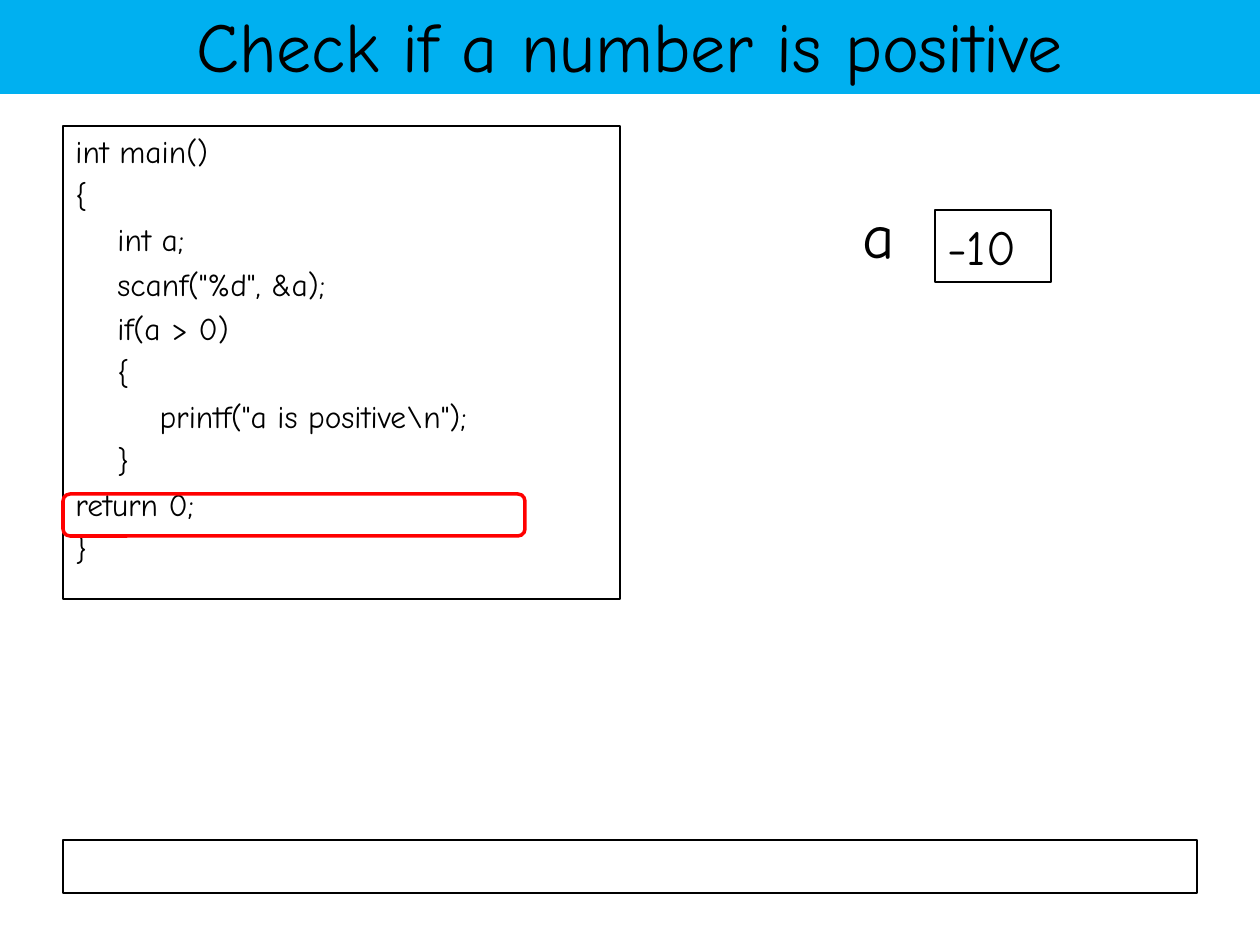
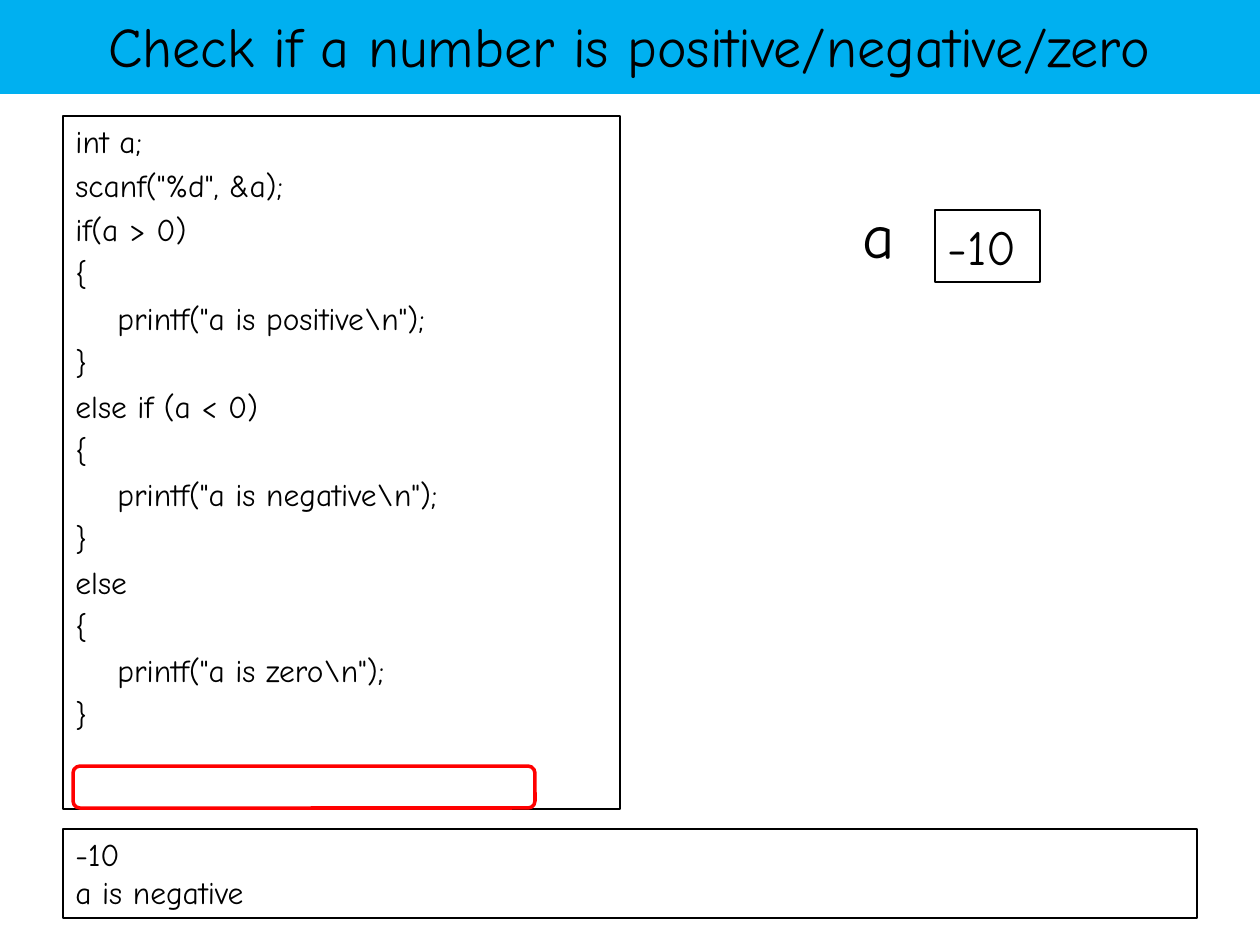
import pptx
import pptx.util
import pptx.dml.color
import pptx.enum.shapes
import pptx.enum.text

SHAPE = pptx.enum.shapes.MSO_SHAPE
ALIGN = pptx.enum.text.PP_ALIGN
ANCHOR = pptx.enum.text.MSO_ANCHOR

# Content: boxes are (left, top, width, height) in px
SLIDES = [
    {
        "title": "Check if a number is positive",
        "title_size": 40,
        "code": [
            "int main()",
            "{",
            "    int a;",
            '    scanf("%d", &a);',
            "    if(a > 0)",
            "    {",
            '        printf("a is positive\\n");',
            "    }",
            "return 0;",
            "}",
        ],
        "code_box": (63, 126, 557, 473),
        "output": [],
        "output_box": (63, 840, 1134, 53),
        "value_box": (935, 210, 116, 72),
        "marker_box": (63, 494, 462, 42),
    },
    {
        "title": "Check if a number is positive/negative/zero",
        "title_size": 32,
        "code": [
            "int a;",
            'scanf("%d", &a);',
            "if(a > 0)",
            "{",
            '    printf("a is positive\\n");',
            "}",
            "else if (a < 0)",
            "{",
            '    printf("a is negative\\n");',
            "}",
            "else",
            "{",
            '    printf("a is zero\\n");',
            "}",
        ],
        "code_box": (63, 116, 557, 693),
        "output": ["-10", "a is negative"],
        "output_box": (63, 829, 1134, 89),
        "value_box": (935, 210, 105, 72),
        "marker_box": (73, 766, 462, 42),
    },
]
VARIABLE, VALUE = "a", "-10"

# Shared look and places
THEME = {
    "font": "Comic Neue",
    "text": "000000",
    "band": "00B0F0",
    "frame": "000000",
    "marker": "FF0000",
    "code_size": 18,
    "value_size": 28,
    "variable_size": 36,
    "frame_width": 0.75,
    "marker_width": 2,
    "code_gap": 3.6,
}
SLIDE_SIZE = (1260, 945)
TITLE_BOX = (-1, -4, 1261, 98)
VARIABLE_BOX = (850, 189, 63, 89)


def px(length):
    return pptx.util.Emu(round(length * 914400 / 126))


def color(name):
    return pptx.dml.color.RGBColor.from_string(THEME[name])


def write(shape, lines, size, align=ALIGN.LEFT, anchor=ANCHOR.TOP, gap=0):
    frame = shape.text_frame
    frame.word_wrap = True
    frame.vertical_anchor = anchor
    for index, line in enumerate(lines):
        paragraph = frame.add_paragraph() if index else frame.paragraphs[0]
        paragraph.text = line
        paragraph.alignment = align
        paragraph.space_before = pptx.util.Pt(gap if index else 0)
        paragraph.font.name = THEME["font"]
        paragraph.font.size = pptx.util.Pt(size)
        paragraph.font.color.rgb = color("text")


def add_box(slide, box, kind=SHAPE.RECTANGLE, fill=None, line=None):
    shape = slide.shapes.add_shape(kind, *map(px, box))
    shape.shadow.inherit = False
    if fill:
        shape.fill.solid()
        shape.fill.fore_color.rgb = color(fill)
    else:
        shape.fill.background()
    if line:
        shape.line.color.rgb = color(line)
        shape.line.width = pptx.util.Pt(THEME[line + "_width"])
    else:
        shape.line.fill.background()
    return shape


def build_slide(presentation, content):
    slide = presentation.slides.add_slide(presentation.slide_layouts[6])

    # Title band
    band = add_box(slide, TITLE_BOX, fill="band")
    write(band, [content["title"]], content["title_size"],
          align=ALIGN.CENTER, anchor=ANCHOR.MIDDLE)

    # Program and its output
    code = add_box(slide, content["code_box"], line="frame")
    write(code, content["code"], THEME["code_size"], gap=THEME["code_gap"])
    output = add_box(slide, content["output_box"], line="frame")
    write(output, content["output"], THEME["code_size"])

    # Variable and its value
    variable = slide.shapes.add_textbox(*map(px, VARIABLE_BOX))
    write(variable, [VARIABLE], THEME["variable_size"])
    value = add_box(slide, content["value_box"], line="frame")
    write(value, [VALUE], THEME["value_size"])

    # Marker of the current line
    add_box(slide, content["marker_box"], SHAPE.ROUNDED_RECTANGLE, line="marker")


def main():
    presentation = pptx.Presentation()
    presentation.slide_width, presentation.slide_height = map(px, SLIDE_SIZE)
    for content in SLIDES:
        build_slide(presentation, content)
    presentation.save("out.pptx")


if __name__ == "__main__":
    main()
